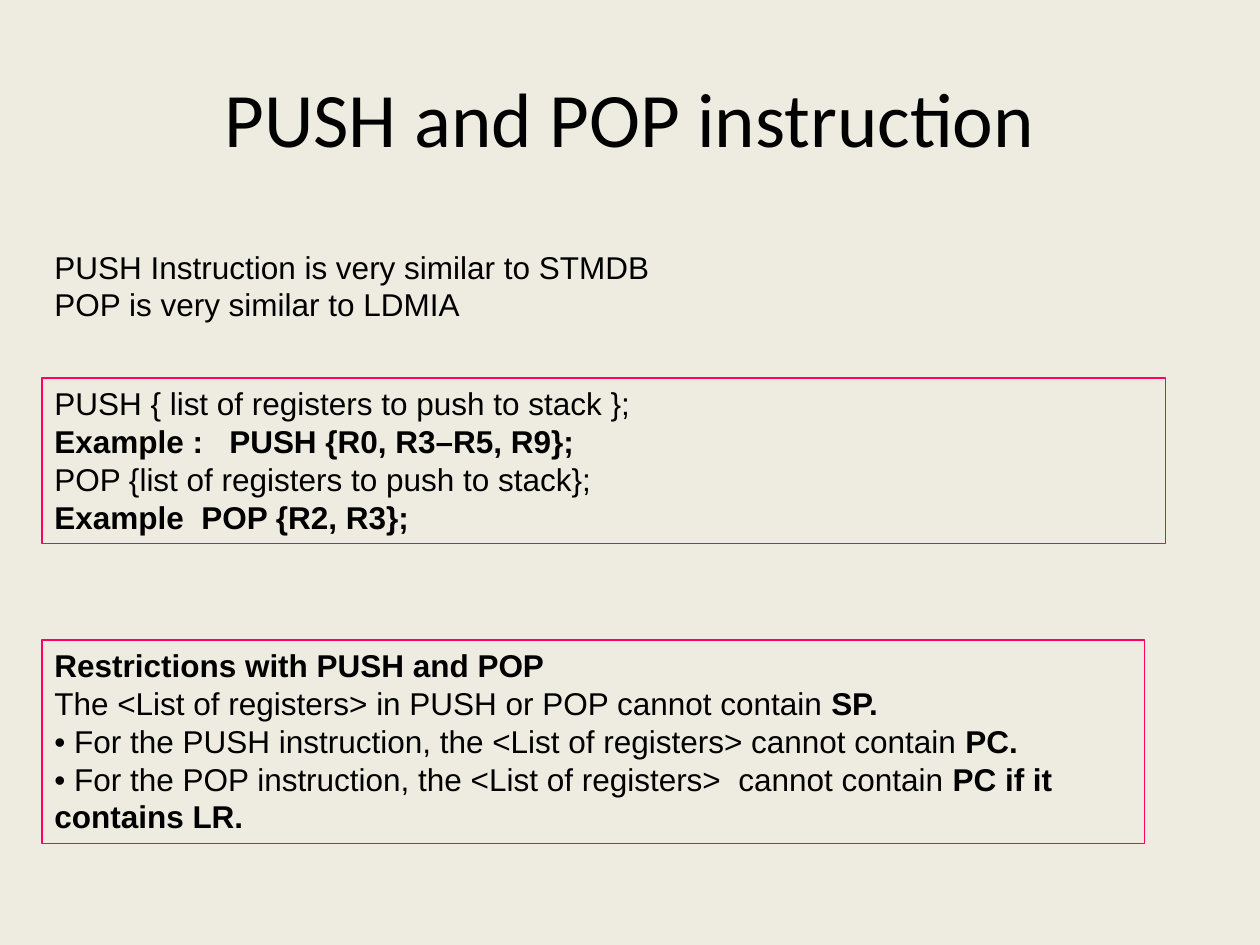
"""Build a slide that explains the PUSH and POP instructions."""
import pptx
import pptx.dml.color
import pptx.enum.shapes
import pptx.enum.text
import pptx.util

Pt = pptx.util.Pt
RGBColor = pptx.dml.color.RGBColor

CREAM = RGBColor(0xEE, 0xEC, 0xE1)
BLACK = RGBColor(0x00, 0x00, 0x00)
PINK = RGBColor(0xFF, 0x00, 0x66)
LEFT = 24

SIMILARITY = [
    [("PUSH Instruction is very similar to STMDB", False)],
    [("POP is very similar to LDMIA", False)],
]
SYNTAX = [
    [("PUSH { list of registers to push to stack };", False)],
    [("Example :   PUSH {R0, R3–R5, R9};", True)],
    [("POP {list of registers to push to stack};", False)],
    [("Example  POP {R2, R3};", True)],
]
RESTRICTIONS = [
    [("Restrictions with PUSH and POP", True)],
    [("The <List of registers> in PUSH or POP cannot contain ", False), ("SP.", True)],
    [("• For the PUSH instruction, the <List of registers> cannot contain ", False),
     ("PC.", True)],
    [("• For the POP instruction, the <List of registers>  cannot contain ", False),
     ("PC if it contains LR.", True)],
]


def format_run(run, font_name, size, bold=False):
    """Set the font of one run."""
    run.font.name = font_name
    run.font.size = Pt(size)
    run.font.bold = bold
    run.font.color.rgb = BLACK


def place(shape, left, top, width, height):
    """Move and size a shape in points."""
    shape.left, shape.top = Pt(left), Pt(top)
    shape.width, shape.height = Pt(width), Pt(height)


def set_title(slide, text):
    """Fill and format the title placeholder."""
    title = slide.shapes.title
    place(title, 36, 21.6, 648, 90)
    title.text_frame.text = text
    title.text_frame.vertical_anchor = pptx.enum.text.MSO_ANCHOR.MIDDLE
    paragraph = title.text_frame.paragraphs[0]
    paragraph.alignment = pptx.enum.text.PP_ALIGN.CENTER
    format_run(paragraph.runs[0], "Calibri", 44)


def write_lines(shape, lines):
    """Write left-aligned lines of (text, bold) pieces into a shape."""
    frame = shape.text_frame
    frame.word_wrap = True
    frame.auto_size = pptx.enum.text.MSO_AUTO_SIZE.SHAPE_TO_FIT_TEXT
    frame.vertical_anchor = pptx.enum.text.MSO_ANCHOR.TOP
    for index, pieces in enumerate(lines):
        paragraph = frame.add_paragraph() if index else frame.paragraphs[0]
        paragraph.alignment = pptx.enum.text.PP_ALIGN.LEFT
        for text, bold in pieces:
            run = paragraph.add_run()
            run.text = text
            format_run(run, "Arial", 18, bold)


def add_text(slide, top, width, height, lines):
    """Add a plain text box."""
    box = slide.shapes.add_textbox(Pt(LEFT), Pt(top), Pt(width), Pt(height))
    write_lines(box, lines)


def add_framed_text(slide, top, width, height, lines):
    """Add text in an unfilled rectangle with a thin pink outline."""
    frame = slide.shapes.add_shape(
        pptx.enum.shapes.MSO_SHAPE.RECTANGLE,
        Pt(LEFT), Pt(top), Pt(width), Pt(height))
    frame.shadow.inherit = False
    frame.fill.background()
    frame.line.color.rgb = PINK
    frame.line.width = Pt(0.75)
    write_lines(frame, lines)


def main():
    """Build and save the slide."""
    deck = pptx.Presentation()
    deck.slide_width, deck.slide_height = Pt(720), Pt(540)
    slide = deck.slides.add_slide(deck.slide_layouts[5])
    slide.background.fill.solid()
    slide.background.fill.fore_color.rgb = CREAM
    set_title(slide, "PUSH and POP instruction")
    add_text(slide, 138, 672, 50.9, SIMILARITY)
    add_framed_text(slide, 216, 642, 94.5, SYNTAX)
    add_framed_text(slide, 365.75, 630, 116.3, RESTRICTIONS)
    deck.save("out.pptx")


if __name__ == "__main__":
    main()
